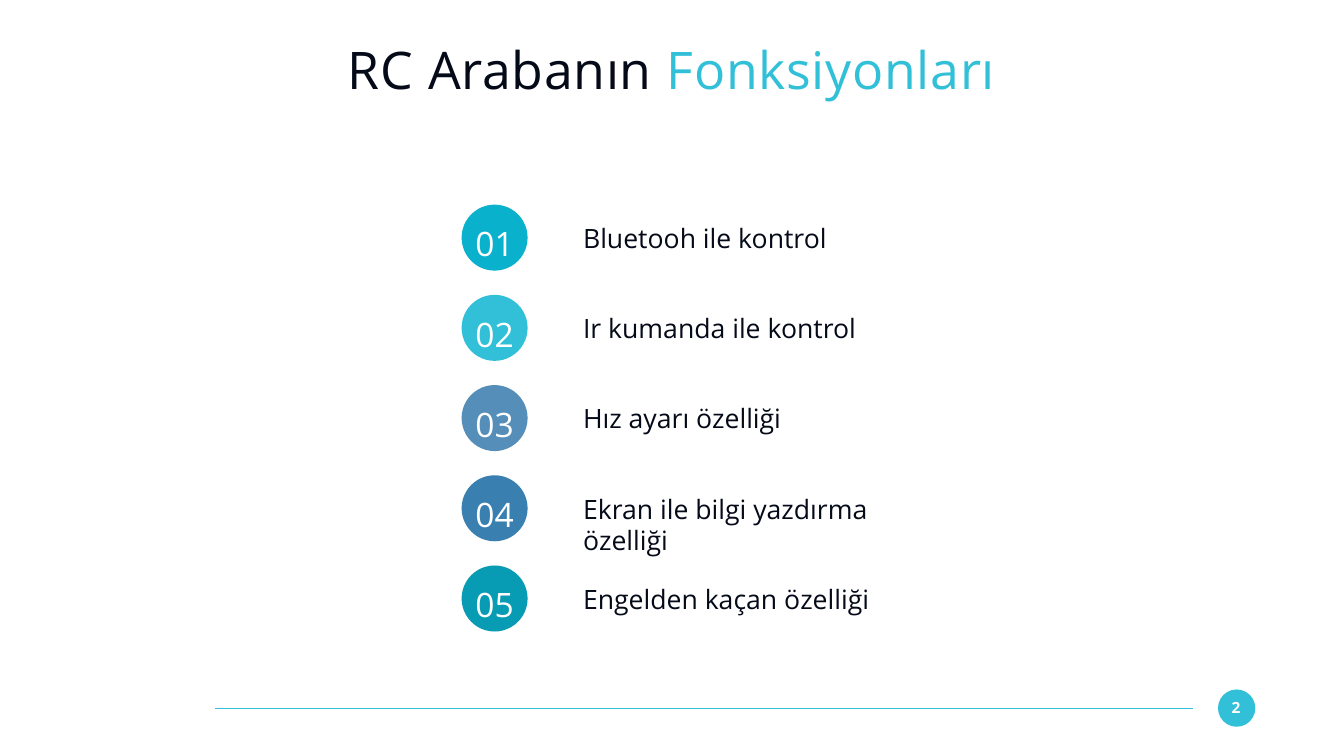
from typing import NamedTuple

from pptx import Presentation
from pptx.dml.color import RGBColor
from pptx.enum.shapes import MSO_CONNECTOR as Connector, MSO_SHAPE as Shape
from pptx.enum.text import MSO_ANCHOR as Anchor, MSO_AUTO_SIZE as AutoSize, PP_ALIGN as Align
from pptx.oxml.ns import qn
from pptx.util import Inches, Pt

FONT = "Open Sans"
COLORS = {
    "ink": "050A19",
    "white": "FFFFFF",
    "accent": "32C0D8",
    "cyan": "09B1CC",
    "steel": "558EB9",
    "blue": "397FB0",
    "teal": "089BB4",
}
FIRST_TOP, ROW_STEP = 4.06, 1.79


class Feature(NamedTuple):
    text: str
    color: str


FEATURES = [
    Feature("Bluetooh ile kontrol", "cyan"),
    Feature("Ir kumanda ile kontrol", "accent"),
    Feature("Hız ayarı özelliği", "steel"),
    Feature("Ekran ile bilgi yazdırma özelliği", "blue"),
    Feature("Engelden kaçan özelliği", "teal"),
]


def rgb(name: str) -> RGBColor:
    return RGBColor.from_string(COLORS[name])


def clear_margins(frame) -> None:
    frame.margin_left = frame.margin_right = frame.margin_top = frame.margin_bottom = 0
    frame.word_wrap = True


def add_span(para, text: str, *, size: float, color: str, bold: bool = False):
    span = para.add_run()
    span.text = text
    span.font.name = FONT
    span.font.size = Pt(size)
    span.font.bold = bold
    span.font.color.rgb = rgb(color)
    return span


def add_text(page, text: str, left: float, top: float, width: float, height: float, *,
             size: float, color: str, align=Align.LEFT, bold: bool = False,
             spacing: float = 1.0) -> None:
    box = page.shapes.add_textbox(Inches(left), Inches(top), Inches(width), Inches(height))
    clear_margins(box.text_frame)
    para = box.text_frame.paragraphs[0]
    para.alignment = align
    para.line_spacing = spacing
    add_span(para, text, size=size, color=color, bold=bold)


def add_circle(page, left: float, top: float, diameter: float, color: str) -> None:
    circle = page.shapes.add_shape(Shape.OVAL, Inches(left), Inches(top),
                                   Inches(diameter), Inches(diameter))
    circle.shadow.inherit = False
    circle.fill.solid()
    circle.fill.fore_color.rgb = rgb(color)
    circle.line.fill.background()


def add_footer(page, number: int) -> None:
    add_circle(page, 24.17, 13.68, 0.74, "accent")
    add_text(page, str(number), 24.23, 13.85, 0.59, 0.37, size=22, color="white",
             align=Align.CENTER, bold=True)
    rule = page.shapes.add_connector(Connector.STRAIGHT, Inches(23.67), Inches(14.05),
                                     Inches(4.27), Inches(14.05))
    rule.line.color.rgb = rgb("accent")
    rule.line.width = Pt(1.5)
    properties = rule._element.spPr
    properties.append(properties.makeelement(qn("a:effectLst"), {}))


def fill_title(page) -> None:
    title = page.shapes.title
    title.left, title.top = Inches(1.83), Inches(0.73)
    title.width, title.height = Inches(23), Inches(1.27)
    frame = title.text_frame
    clear_margins(frame)
    frame.auto_size = AutoSize.NONE
    frame.vertical_anchor = Anchor.MIDDLE
    para = frame.paragraphs[0]
    para.alignment = Align.CENTER
    for text, color in (("RC Arabanın ", "ink"), ("Fonksiyonları", "accent")):
        span = add_span(para, text, size=74, color=color)
        span.font._element.set("spc", "100")  # letter spacing of 1 pt


def add_feature(page, number: int, feature: Feature) -> None:
    top = FIRST_TOP + (number - 1) * ROW_STEP
    add_circle(page, 9.16, top, 1.31, feature.color)
    add_text(page, f"{number:02}", 9.3, top + 0.21, 1.03, 0.97, size=48, color="white",
             align=Align.CENTER, spacing=1.2)
    add_text(page, feature.text, 11.57, top + 0.34, 6.29, 0.64, size=38, color="ink")


def main() -> None:
    deck = Presentation()
    deck.slide_width, deck.slide_height = Inches(26.67), Inches(15)
    page = deck.slides.add_slide(deck.slide_layouts[5])
    add_footer(page, 2)
    fill_title(page)
    for number, feature in enumerate(FEATURES, start=1):
        add_feature(page, number, feature)
    deck.save("out.pptx")


if __name__ == "__main__":
    main()
